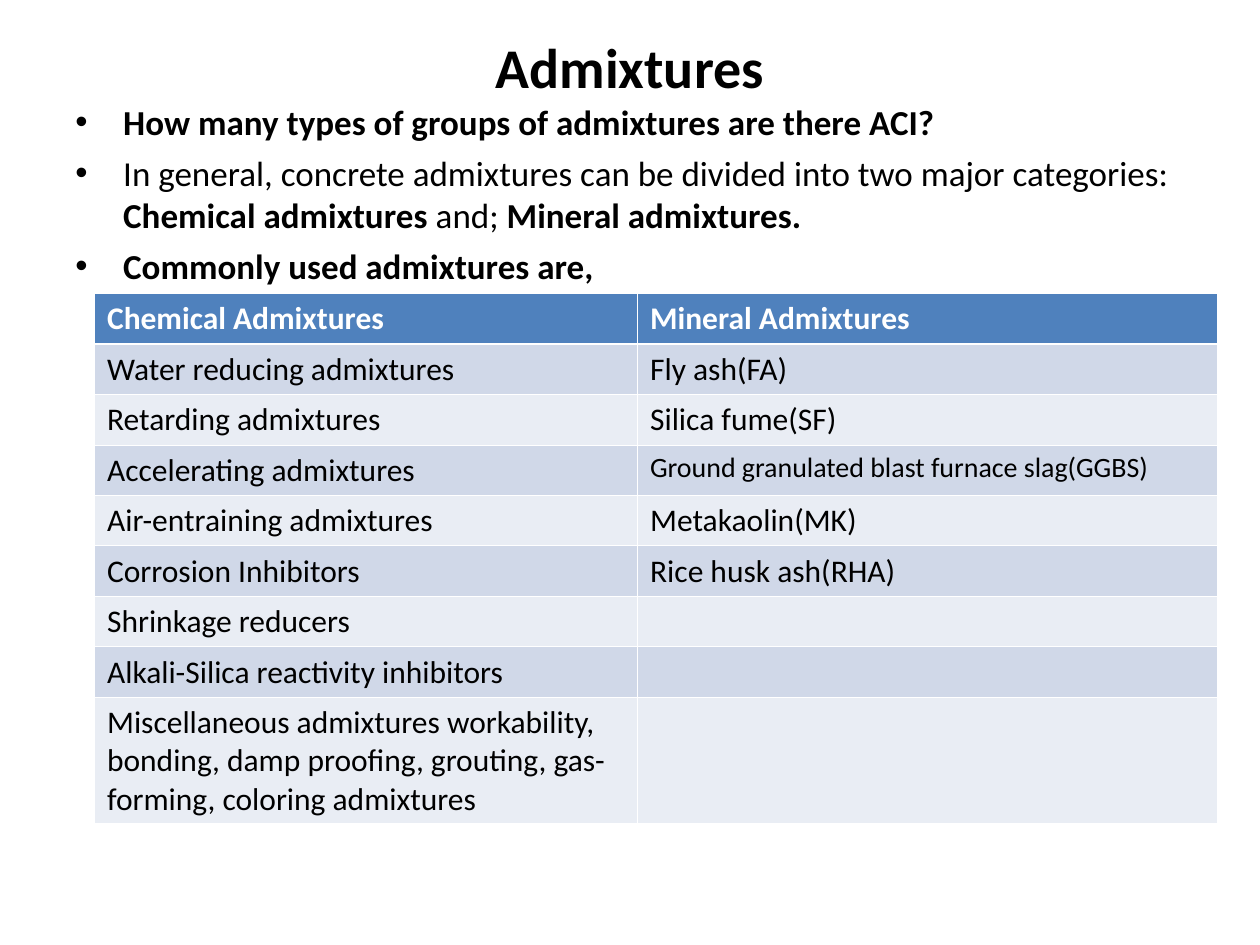
from dataclasses import dataclass
from itertools import zip_longest

from lxml.etree import SubElement
from pptx import Presentation
from pptx.dml.color import RGBColor
from pptx.enum.text import MSO_ANCHOR, PP_ALIGN
from pptx.oxml.ns import qn
from pptx.util import Inches, Pt


@dataclass(frozen=True)
class Theme:
    font: str = "Calibri"
    text: str = "000000"
    header_text: str = "FFFFFF"
    header_fill: str = "4F81BD"
    odd_fill: str = "D0D8E8"
    even_fill: str = "E9EDF4"
    border: str = "FFFFFF"
    title_size: int = 32
    body_size: int = 20
    cell_size: int = 18
    small_cell_size: int = 16
    thin_border: float = 0.45
    header_border: float = 1.47


TITLE = "Admixtures"
# Each bullet is a list of (text, bold) runs.
BULLETS = [
    [("How many types of groups of admixtures are there ACI?", True)],
    [
        ("In general, concrete admixtures can be divided into two major categories: ", False),
        ("Chemical admixtures ", True),
        ("and; ", False),
        ("Mineral admixtures.", True),
    ],
    [("Commonly used admixtures are,", True)],
]
CHEMICAL = [
    "Chemical Admixtures",
    "Water reducing admixtures",
    "Retarding admixtures",
    "Accelerating admixtures",
    "Air-entraining admixtures",
    "Corrosion Inhibitors",
    "Shrinkage reducers",
    "Alkali-Silica reactivity inhibitors",
    "Miscellaneous admixtures workability, bonding, damp proofing, "
    "grouting, gas-forming, coloring admixtures",
]
LONG_MINERAL = "Ground granulated blast furnace slag(GGBS)"
MINERAL = [
    "Mineral Admixtures",
    "Fly ash(FA)",
    "Silica fume(SF)",
    LONG_MINERAL,
    "Metakaolin(MK)",
    "Rice husk ash(RHA)",
]


class SlideBuilder:
    def __init__(self, slide, theme):
        self.slide = slide
        self.theme = theme

    def add_run(self, paragraph, text, size, color, bold=False):
        run = paragraph.add_run()
        run.text = text
        run.font.name = self.theme.font
        run.font.size = Pt(size)
        run.font.bold = bold
        run.font.color.rgb = RGBColor.from_string(color)

    def add_title(self, text, left, top, width, height):
        title = self.slide.shapes.title
        title.left, title.top, title.width, title.height = left, top, width, height
        title.text_frame.vertical_anchor = MSO_ANCHOR.MIDDLE
        paragraph = title.text_frame.paragraphs[0]
        paragraph.alignment = PP_ALIGN.CENTER
        self.add_run(paragraph, text, self.theme.title_size, self.theme.text, True)

    def add_bullets(self, bullets, left, top, width, height):
        frame = self.slide.shapes.add_textbox(left, top, width, height).text_frame
        frame.word_wrap = True
        for index, runs in enumerate(bullets):
            paragraph = frame.add_paragraph() if index else frame.paragraphs[0]
            paragraph.space_before = Pt(5)
            properties = paragraph._p.get_or_add_pPr()
            properties.set("marL", str(Inches(0.38)))
            properties.set("indent", str(-Inches(0.38)))
            SubElement(properties, qn("a:buFont"), typeface="Arial")
            SubElement(properties, qn("a:buChar"), char="•")
            for text, bold in runs:
                self.add_run(paragraph, text, self.theme.body_size, self.theme.text, bold)

    def add_table(self, rows, left, top, column_widths, row_heights):
        """Add a table with a header row and banded body rows."""
        table = self.slide.shapes.add_table(
            len(rows), len(column_widths), left, top, sum(column_widths), sum(row_heights)
        ).table
        for column, width in zip(table.columns, column_widths):
            column.width = width
        for row, height in zip(table.rows, row_heights):
            row.height = height
        for row_index, texts in enumerate(rows):
            for column_index, text in enumerate(texts):
                self.format_cell(table.cell(row_index, column_index), text, row_index)

    def format_cell(self, cell, text, row_index):
        theme = self.theme
        is_header = row_index == 0
        self.add_borders(
            cell,
            theme.header_border if row_index == 1 else theme.thin_border,
            theme.header_border if is_header else theme.thin_border,
        )
        band = theme.odd_fill if row_index % 2 else theme.even_fill
        cell.fill.solid()
        cell.fill.fore_color.rgb = RGBColor.from_string(theme.header_fill if is_header else band)
        if text:
            size = theme.small_cell_size if text == LONG_MINERAL else theme.cell_size
            color = theme.header_text if is_header else theme.text
            self.add_run(cell.text_frame.paragraphs[0], text, size, color, is_header)

    def add_borders(self, cell, top, bottom):
        thin = self.theme.thin_border
        properties = cell._tc.get_or_add_tcPr()
        for side, width in zip("LRTB", (thin, thin, top, bottom)):
            line = SubElement(properties, qn(f"a:ln{side}"), w=str(Pt(width)))
            fill = SubElement(line, qn("a:solidFill"))
            SubElement(fill, qn("a:srgbClr"), val=self.theme.border)


def main():
    presentation = Presentation()
    presentation.slide_width = Inches(10)
    presentation.slide_height = Inches(7.5)
    slide = presentation.slides.add_slide(presentation.slide_layouts[5])
    builder = SlideBuilder(slide, Theme())

    builder.add_title(TITLE, Inches(0.5), Inches(0.3), Inches(9), Inches(0.45))
    builder.add_bullets(BULLETS, Inches(0.5), Inches(0.75), Inches(9), Inches(5.95))
    rows = list(zip_longest(CHEMICAL, MINERAL, fillvalue=""))
    builder.add_table(
        rows,
        Inches(0.75),
        Inches(2.33),
        [Inches(4.31), Inches(4.6)],
        [Inches(0.4)] * (len(rows) - 1) + [Inches(1)],
    )
    presentation.save("out.pptx")


if __name__ == "__main__":
    main()
